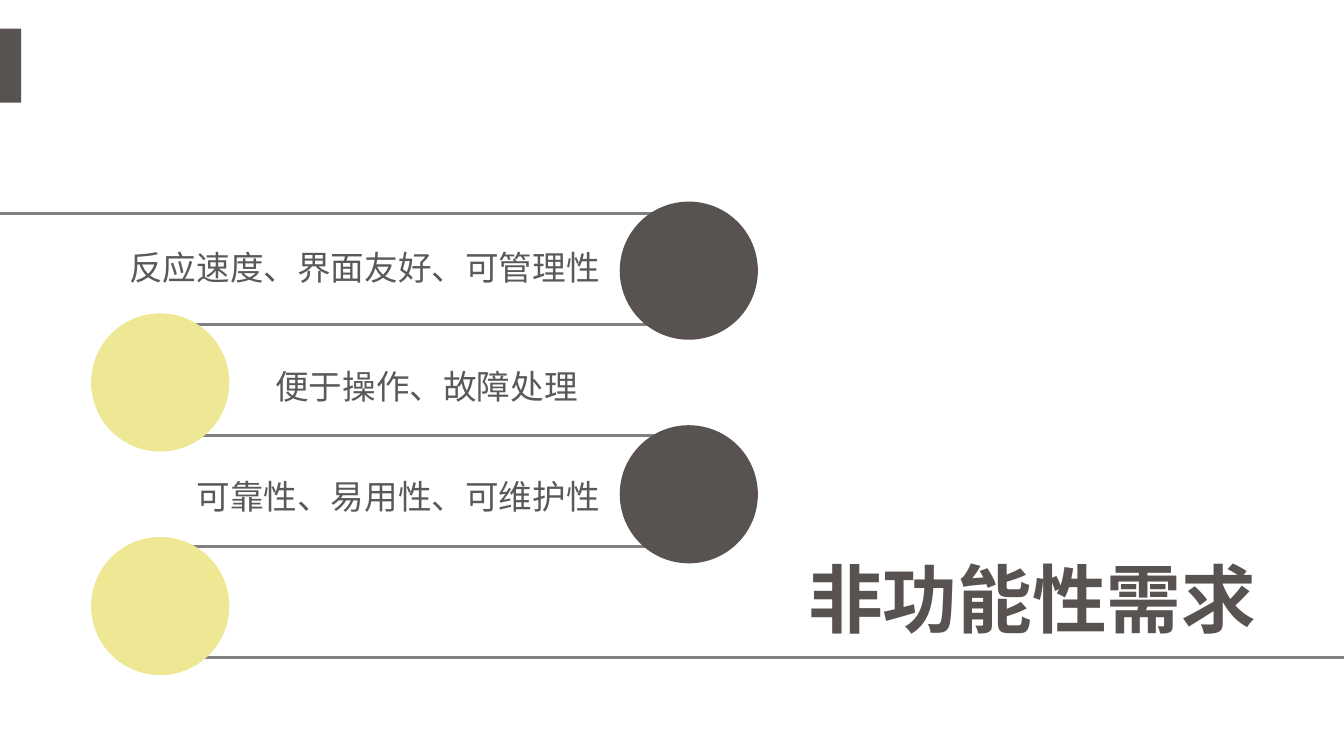
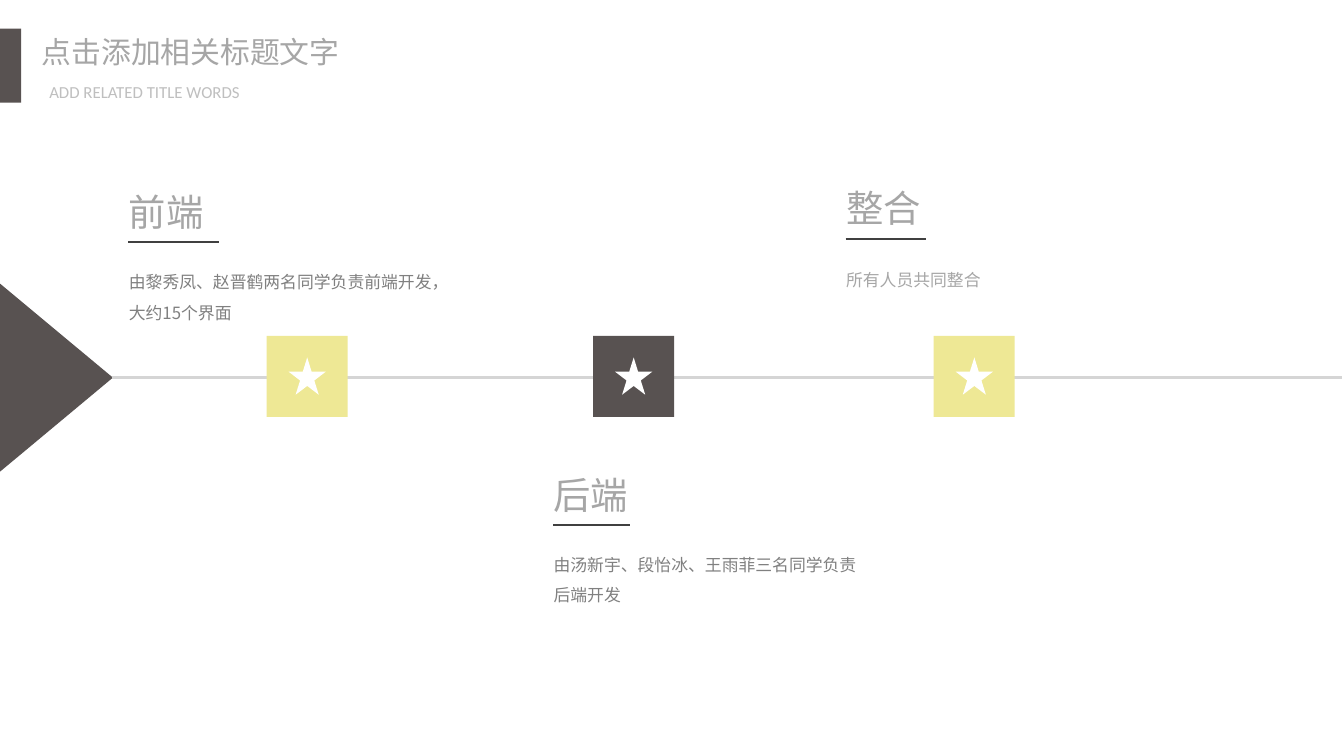
from pptx import Presentation
from pptx.dml.color import RGBColor
from pptx.enum.shapes import MSO_CONNECTOR, MSO_SHAPE
from pptx.enum.text import MSO_ANCHOR, MSO_AUTO_SIZE, PP_ALIGN
from pptx.oxml.ns import qn
from pptx.util import Pt
from lxml import etree

RECT, OVAL = MSO_SHAPE.RECTANGLE, MSO_SHAPE.OVAL
STAR, TRI = MSO_SHAPE.STAR_5_POINT, MSO_SHAPE.ISOSCELES_TRIANGLE
LEFT, RIGHT, JUST = PP_ALIGN.LEFT, PP_ALIGN.RIGHT, PP_ALIGN.JUSTIFY
TOP, FIXED = MSO_ANCHOR.TOP, MSO_AUTO_SIZE.NONE
STRAIGHT = MSO_CONNECTOR.STRAIGHT

WIDTH, HEIGHT = 720, 405
DARK, LEMON, WHITE = "585251", "EEE895", "FFFFFF"
INK, GRAY, PALE = "595959", "808080", "A6A6A6"
NOTO, LATIN, HEAD, SANS = "Noto Sans CJK SC", "Calibri", "Roboto", "Arial"

# Slide 1: text, left, top, width, height, alignment
NEEDS_TITLE = "非功能性需求"
NEEDS = [
    ("反应速度、界面友好、可管理性", 57, 122.4, 271.4, 35.3, RIGHT),
    ("便于操作、故障处理", 140.4, 185.8, 221.8, 33.1, LEFT),
    ("可靠性、易用性、可维护性", 87.1, 244.8, 241.2, 35.3, RIGHT),
]

# Slide 2: head, left, top, rule top, rule width, body, body top, font, colour
TEAM_TITLE = "点击添加相关标题文字"
TEAM_SUB = "ADD RELATED TITLE WORDS"
TEAMS = [
    ("前端", 62, 98, 129.6, 48.6, "由黎秀凤、赵晋鹤两名同学负责前端开发，大约15个界面",
     136.8, NOTO, GRAY),
    ("后端", 289.5, 249.2, 281.2, 41.4, "由汤新宇、段怡冰、王雨菲三名同学负责后端开发",
     288, NOTO, GRAY),
    ("整合", 446.2, 95.8, 128, 43.2, "所有人员共同整合", 135.4, SANS, PALE),
]
STOPS = [(142.8, LEMON), (317.7, DARK), (500.2, LEMON)]


def color(code):
    return RGBColor.from_string(code)


def shape(slide, kind, x, y, w, h, fill):
    item = slide.shapes.add_shape(kind, Pt(x), Pt(y), Pt(w), Pt(h))
    item.shadow.inherit = False
    item.fill.solid()
    item.fill.fore_color.rgb = color(fill)
    item.line.fill.background()
    return item


def rule(slide, x, end, y, tint, width):
    item = slide.shapes.add_connector(STRAIGHT, Pt(x), Pt(y), Pt(end), Pt(y))
    item.line.color.rgb = color(tint)
    item.line.width = Pt(width)
    etree.SubElement(item._element.spPr, qn("a:effectLst"))


def write(slide, text, x, y, w, h, size=18, font=NOTO, tint=INK, bold=False,
          align=LEFT, space=1.0, before=0, wrap=True, pad=(7.2, 3.6),
          title=False):
    if title:
        box = slide.shapes.title
        box.left, box.top, box.width, box.height = Pt(x), Pt(y), Pt(w), Pt(h)
    else:
        box = slide.shapes.add_textbox(Pt(x), Pt(y), Pt(w), Pt(h))
    frame = box.text_frame
    frame.auto_size, frame.word_wrap = FIXED, wrap
    frame.vertical_anchor = TOP
    frame.margin_left = frame.margin_right = Pt(pad[0])
    frame.margin_top = frame.margin_bottom = Pt(pad[1])
    para = frame.paragraphs[0]
    para.alignment, para.line_spacing = align, space
    para.space_before = Pt(before)
    run = para.add_run()
    run.text = text
    run.font.size, run.font.bold = Pt(size), bold
    run.font.color.rgb = color(tint)
    run.font.name = font
    # East Asian line height follows this face
    etree.SubElement(run.font._element, qn("a:ea"), typeface=LATIN)


def start(deck):
    slide = deck.slides.add_slide(deck.slide_layouts[5])
    shape(slide, RECT, 0, 15.4, 11.3, 39.6, DARK)
    return slide


def needs(deck):
    slide = start(deck)
    # Rules, the first and last run off the slide
    for i in range(5):
        rule(slide, 0 if i == 0 else 86.4, WIDTH if i == 4 else 367.2,
             114.5 + 59.4 * i, GRAY, 1.5)
    # Circles on alternate sides
    for i in range(4):
        x, fill = ((332, DARK), (48.8, LEMON))[i % 2]
        shape(slide, OVAL, x, 108 + 59.9 * i, 74, 74, fill)
    for text, x, y, w, h, align in NEEDS:
        write(slide, text, x, y, w, h, align=align, space=1.3, before=6)
    write(slide, NEEDS_TITLE, 425.8, 292.3, 257.8, 55.4, size=40, font=LATIN,
          tint=DARK, bold=True, wrap=False, title=True)


def teams(deck):
    slide = start(deck)
    # Heading
    write(slide, TEAM_TITLE, 17, 15.4, 172.8, 25.2, size=16, tint=PALE,
          wrap=False, pad=(5.4, 2.7), title=True)
    write(slide, TEAM_SUB, 21, 41, 160.6, 16.6, size=9, font=LATIN,
          tint="BFBFBF", align=JUST, pad=(5.4, 2.7))
    # Time line with its stops
    shape(slide, TRI, -20.2, 172.1, 100.8, 60.5, DARK).rotation = 90
    rule(slide, 60, 719, 202.2, "D5D5D5", 2)
    for x, fill in STOPS:
        shape(slide, RECT, x, 180, 43.4, 43.4, fill)
        shape(slide, STAR, x + 11.8, 191.5, 20, 20, WHITE)
    # Team notes
    for head, x, y, line, w, body, top, font, tint in TEAMS:
        write(slide, body, x, top, 182.9, 38.2, size=9, font=font, tint=tint,
              space=1.5)
        rule(slide, x + 6.8, x + 6.8 + w, line, "404040", 1)
        write(slide, head, x, y, 54.7, 31.7, size=20, font=HEAD, tint=PALE,
              wrap=False)


def main():
    deck = Presentation()
    deck.slide_width, deck.slide_height = Pt(WIDTH), Pt(HEIGHT)
    needs(deck)
    teams(deck)
    deck.save("out.pptx")


if __name__ == "__main__":
    main()
